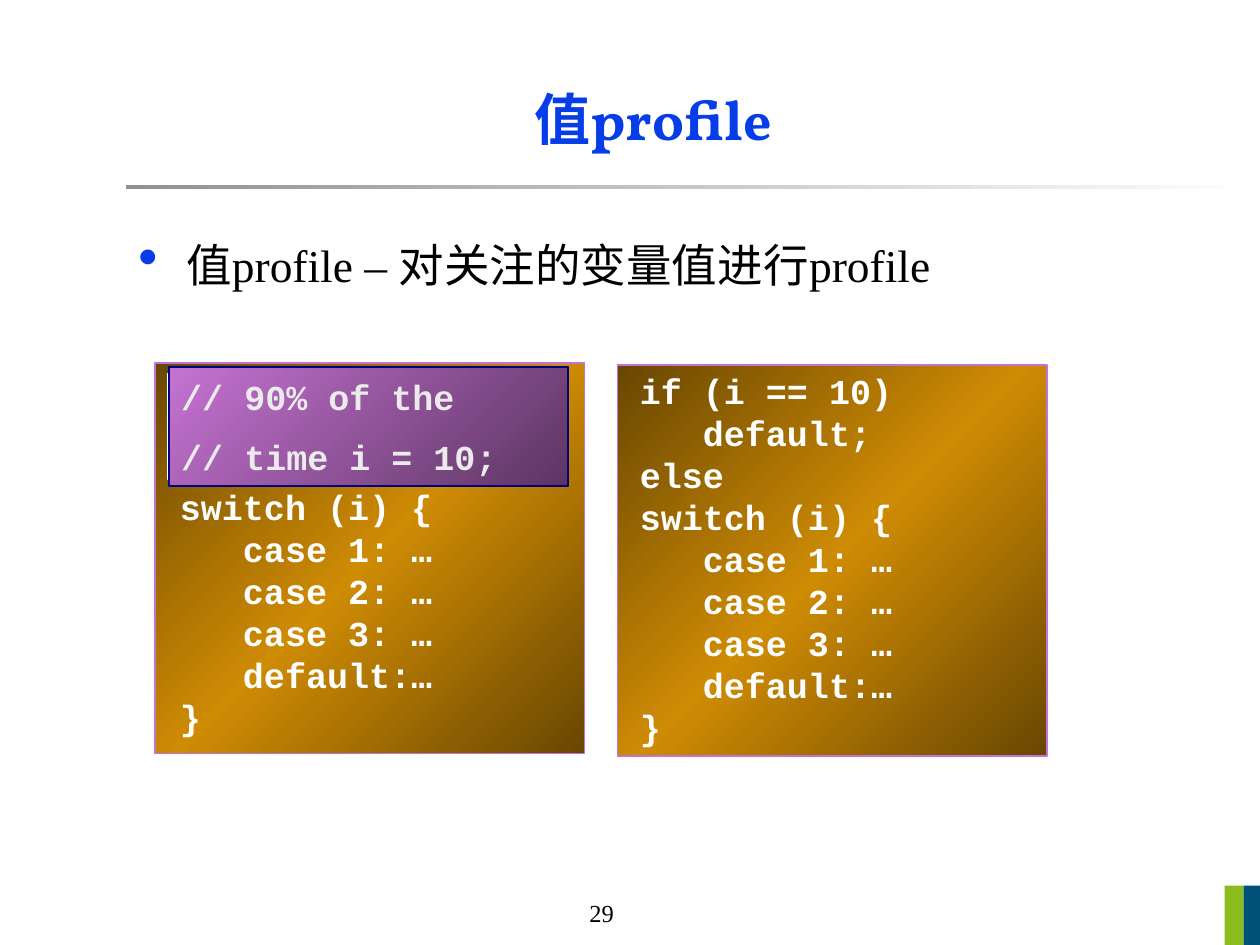
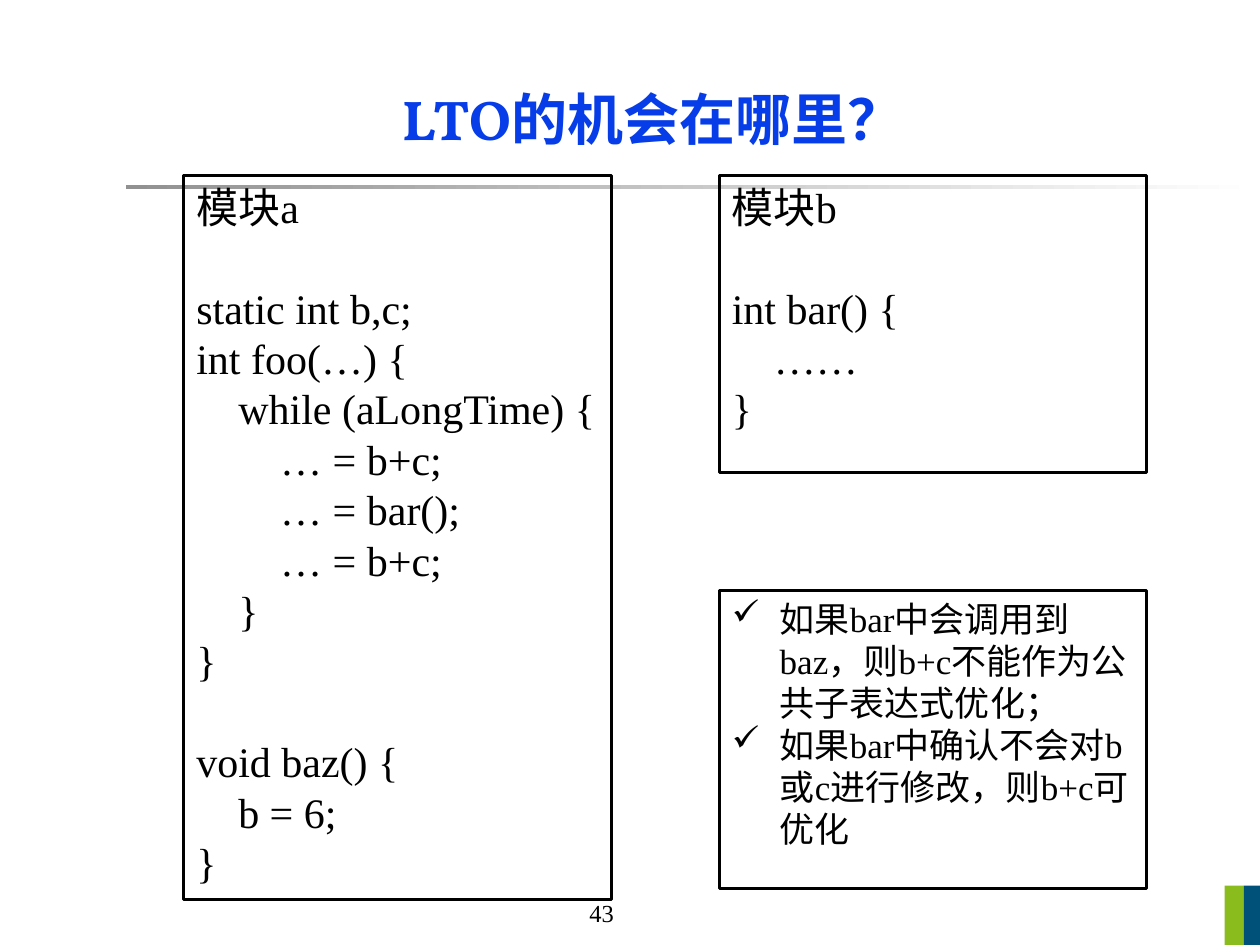
from lxml.etree import SubElement
from pptx import Presentation
from pptx.dml.color import RGBColor
from pptx.enum.shapes import MSO_SHAPE
from pptx.enum.text import MSO_ANCHOR, PP_ALIGN
from pptx.oxml.ns import qn
from pptx.util import Inches, Pt

BLUE = RGBColor(0x06, 0x3D, 0xE8)
BLACK = RGBColor(0x00, 0x00, 0x00)
WHITE = RGBColor(0xFF, 0xFF, 0xFF)
PALE = RGBColor(0xEB, 0xEB, 0xEB)
GREY = RGBColor(0x91, 0x91, 0x91)
GREEN = RGBColor(0x8A, 0xBC, 0x1D)
TEAL = RGBColor(0x00, 0x51, 0x7A)
BROWN = RGBColor(0x69, 0x47, 0x02)
GOLD = RGBColor(0xCE, 0x8B, 0x04)
ORCHID = RGBColor(0xC5, 0x73, 0xD2)
PURPLE = RGBColor(0xAC, 0x3E, 0xC1)
PLUM = RGBColor(0x5C, 0x35, 0x62)
NAVY = RGBColor(0x00, 0x00, 0x80)

TITLE_FONT = "Vollkorn"
BODY_FONT = "Times New Roman"
CODE_FONT = "Courier New"
LINE_PITCH = 1.2

SWITCH_CODE = [
    "switch (i) {",
    "   case 1: …",
    "   case 2: …",
    "   case 3: …",
    "   default:…",
    "}",
]
GUARD_CODE = ["if (i == 10)", "   default;", "else"]
VALUE_COMMENT = ["// 90% of the", "// time i = 10;"]
MODULE_A = [
    ["模块a"],
    [
        "static int b,c;",
        "int foo(…) {",
        "    while (aLongTime) {",
        "        … = b+c;",
        "        … = bar();",
        "        … = b+c;",
        "    }",
        "}",
    ],
    ["void baz() {", "    b = 6;", "}"],
]
MODULE_B = [["模块b"], ["int bar() {", "    ……", "}"]]
CONCLUSIONS = [
    "如果bar中会调用到baz，则b+c不能作为公共子表达式优化；",
    "如果bar中确认不会对b或c进行修改，则b+c可优化",
]


def style_font(font, name, size, color, bold=False):
    font.name = name
    font.size = Pt(size)
    font.bold = bold
    font.color.rgb = color


def fill_gradient(shape, colors, angle):
    shape.fill.gradient()
    shape.fill.gradient_angle = -angle % 360
    stops = shape.element.spPr.find(qn("a:gradFill")).find(qn("a:gsLst"))
    for stop in list(stops):
        stops.remove(stop)
    for index, color in enumerate(colors):
        position = index * 100000 // (len(colors) - 1)
        stop = SubElement(stops, qn("a:gs"), pos=str(position))
        SubElement(stop, qn("a:srgbClr"), val=str(color))


def add_panel(slide, box, fill=None, line=None, width=1, angle=45):
    panel = slide.shapes.add_shape(MSO_SHAPE.RECTANGLE, *map(Inches, box))
    panel.shadow.inherit = False
    if fill is None:
        panel.fill.background()
    elif isinstance(fill, list):
        fill_gradient(panel, fill, angle)
    else:
        panel.fill.solid()
        panel.fill.fore_color.rgb = fill
    if line is None:
        panel.line.fill.background()
    else:
        panel.line.color.rgb = line
        panel.line.width = Pt(width)
    return panel


def add_bullet(paragraph, char, color=None, percent=100):
    properties = paragraph._p.get_or_add_pPr()
    properties.set("marL", str(Inches(0.38)))
    properties.set("indent", str(-Inches(0.38)))
    if color is not None:
        bullet_color = SubElement(properties, qn("a:buClr"))
        SubElement(bullet_color, qn("a:srgbClr"), val=str(color))
    SubElement(properties, qn("a:buSzPct"), val=str(percent * 1000))
    SubElement(properties, qn("a:buChar"), char=char)


def write_groups(frame, groups, font, size, color, bold=False,
                 group_gap=0, bullet=None):
    frame.word_wrap = True
    frame.vertical_anchor = MSO_ANCHOR.TOP
    lines = [(line, index == 0) for group in groups
             for index, line in enumerate(group)]
    for number, (line, starts_group) in enumerate(lines):
        paragraph = frame.add_paragraph() if number else frame.paragraphs[0]
        paragraph.text = line
        paragraph.alignment = PP_ALIGN.LEFT
        paragraph.line_spacing = Pt(size * LINE_PITCH)
        if number and starts_group:
            paragraph.space_before = Pt(group_gap)
        if bullet:
            add_bullet(paragraph, bullet)
        for run in paragraph.runs:
            style_font(run.font, font, size, color, bold)


def add_code(slide, box, lines):
    code = slide.shapes.add_textbox(*map(Inches, box))
    write_groups(code.text_frame, [lines], CODE_FONT, 20, WHITE, bold=True)


def add_module(slide, box, groups):
    module = add_panel(slide, box, line=BLACK, width=1.75)
    write_groups(module.text_frame, groups, BODY_FONT, 24, BLACK,
                 group_gap=24 * LINE_PITCH)


def add_page_number(slide, number):
    page = slide.shapes.add_textbox(
        Inches(4.58), Inches(7.08), Inches(0.43), Inches(0.33))
    page.text_frame.word_wrap = False
    page.text_frame.text = str(number)
    style_font(page.text_frame.paragraphs[0].font, BODY_FONT, 14, BLACK)


def add_titled_slide(deck, title, number):
    slide = deck.slides.add_slide(deck.slide_layouts[5])
    add_page_number(slide, number)
    add_panel(slide, (1, 1.47, 9, 0.03), [GREY, WHITE], angle=0)
    add_panel(slide, (9.72, 7.03, 0.15, 0.47), GREEN)
    add_panel(slide, (9.87, 7.03, 0.13, 0.47), TEAL)
    heading = slide.shapes.title
    heading.left, heading.top = Inches(1.06), Inches(0.44)
    heading.width, heading.height = Inches(8.25), Inches(1)
    heading.text_frame.text = title
    heading.text_frame.vertical_anchor = MSO_ANCHOR.MIDDLE
    paragraph = heading.text_frame.paragraphs[0]
    paragraph.alignment = PP_ALIGN.CENTER
    style_font(paragraph.runs[0].font, TITLE_FONT, 32, BLUE, bold=True)
    return slide


def add_statement(slide, text):
    statement = slide.shapes.add_textbox(
        Inches(1), Inches(1.83), Inches(8.25), Inches(0.6))
    statement.text_frame.word_wrap = True
    paragraph = statement.text_frame.paragraphs[0]
    paragraph.text = text
    add_bullet(paragraph, "•", BLUE, 125)
    style_font(paragraph.runs[0].font, BODY_FONT, 26, BLACK)


def add_value_comment(slide):
    add_panel(slide, (1.33, 2.97, 2.67, 0.83), PURPLE, WHITE)
    comment = add_panel(slide, (1.34, 2.91, 3.17, 0.95),
                        [ORCHID, PLUM], NAVY)
    write_groups(comment.text_frame, [[line] for line in VALUE_COMMENT],
                 CODE_FONT, 20, PALE, bold=True, group_gap=10)
    comment.text_frame.vertical_anchor = MSO_ANCHOR.MIDDLE


def build_value_profile(deck):
    slide = add_titled_slide(deck, "值profile", 29)
    add_statement(slide, "值profile – 对关注的变量值进行profile")
    for left, top in ((4.9, 2.9), (1.23, 2.88)):
        add_panel(slide, (left, top, 3.41, 3.1),
                  [BROWN, GOLD, BROWN], ORCHID)
    add_code(slide, (4.98, 2.88, 3.5, 3.33), GUARD_CODE + SWITCH_CODE)
    add_code(slide, (1.33, 3.8, 3.17, 2.58), SWITCH_CODE)
    add_value_comment(slide)


def build_lto_chances(deck):
    slide = add_titled_slide(deck, "LTO的机会在哪里？", 43)
    add_module(slide, (1.46, 1.39, 3.39, 5.75), MODULE_A)
    add_module(slide, (5.71, 1.39, 3.39, 2.36), MODULE_B)
    conclusion = add_panel(slide, (5.71, 4.69, 3.39, 2.36),
                           line=BLACK, width=1.75)
    write_groups(conclusion.text_frame, [CONCLUSIONS], BODY_FONT, 20, BLACK,
                 bullet="✓")


def main():
    deck = Presentation()
    deck.slide_width = Inches(10)
    deck.slide_height = Inches(7.5)
    build_value_profile(deck)
    build_lto_chances(deck)
    deck.save("out.pptx")


if __name__ == "__main__":
    main()
